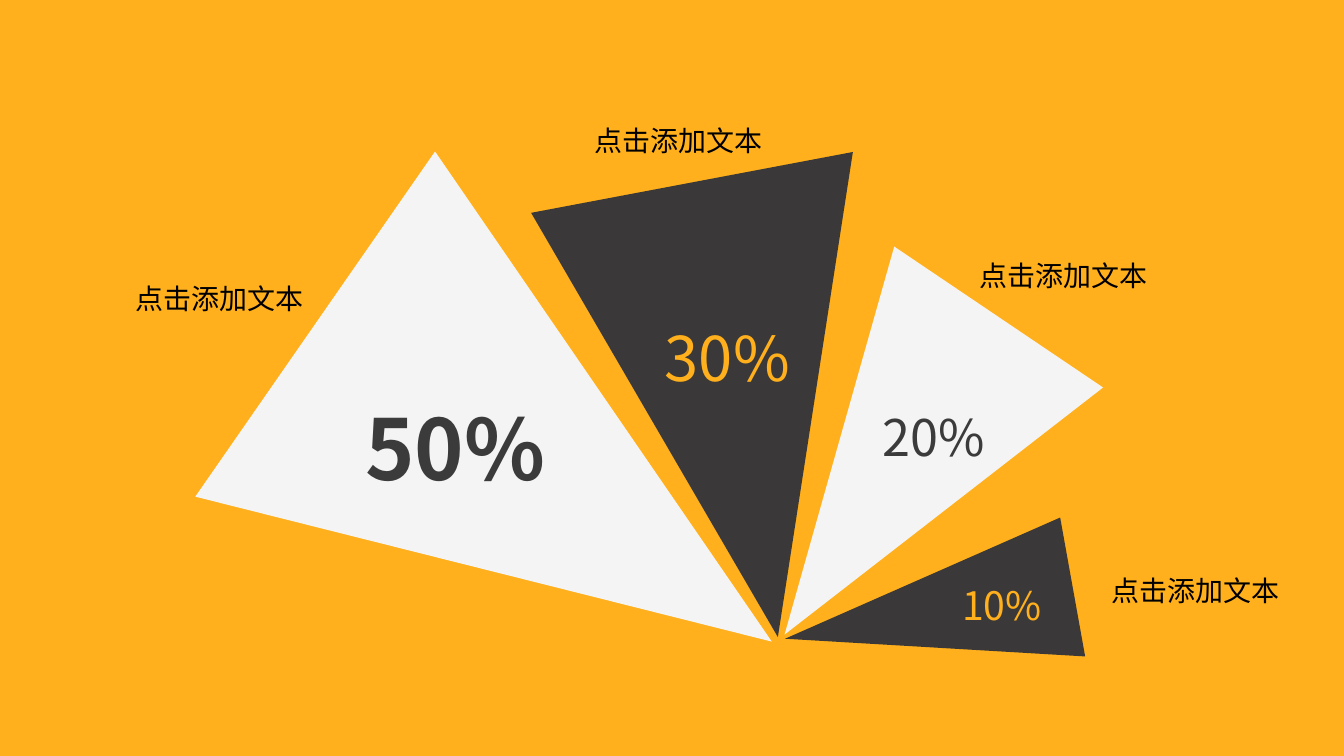
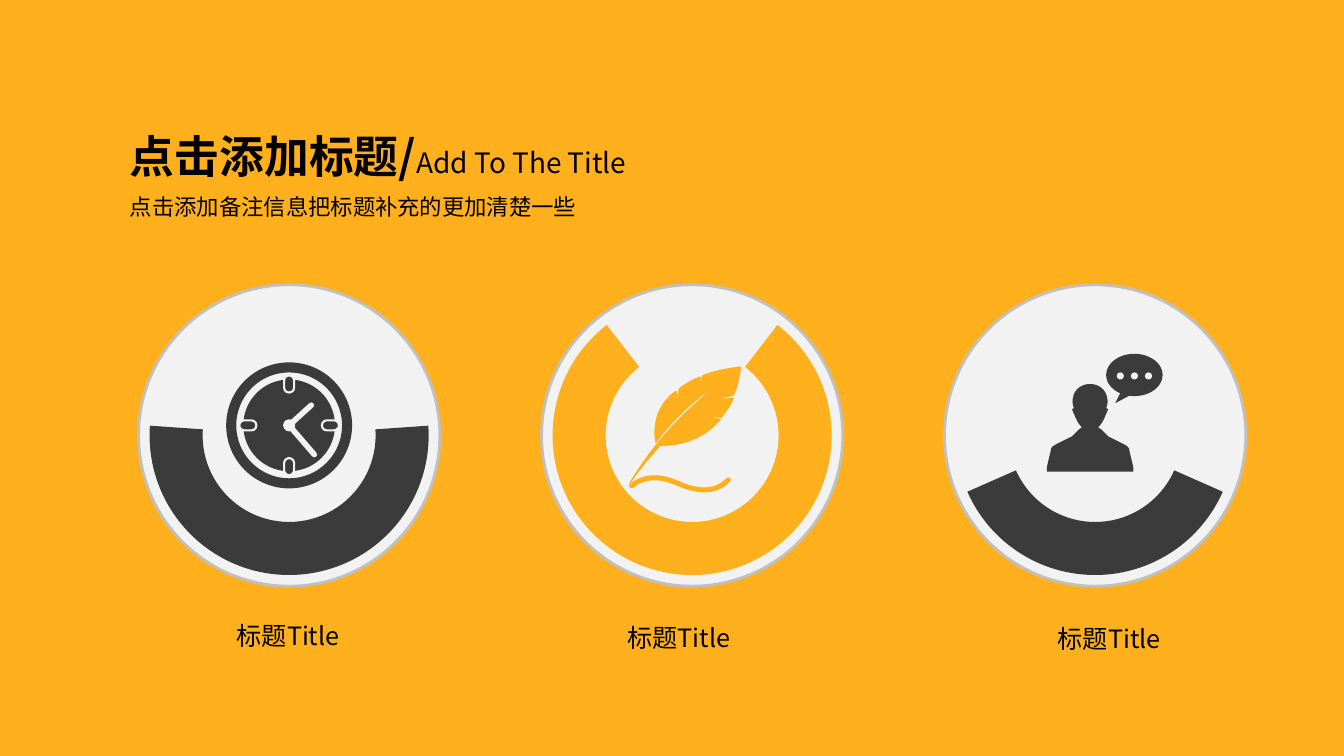
import pptx
import pptx.dml.color
import pptx.enum.shapes
import pptx.enum.text
import pptx.oxml
import pptx.oxml.ns
import pptx.util

Inches = pptx.util.Inches
Pt = pptx.util.Pt
SHAPE = pptx.enum.shapes.MSO_SHAPE
CENTER = pptx.enum.text.PP_ALIGN.CENTER
LEFT = pptx.enum.text.PP_ALIGN.LEFT

FONT = "Noto Sans CJK SC"
COLORS = {
    "amber": "FFB01C",
    "charcoal": "3A3838",
    "graphite": "3B3B3B",
    "pale": "F4F4F4",
    "disc": "F2F2F2",
    "rim": "C0C0C0",
    "black": "000000",
}

FEATHER = [
    (7.35, 3.64),
    [(7.21, 3.66), (7.08, 3.68), (6.97, 3.73)],
    (6.95, 3.87), (6.95, 3.74),
    [(6.87, 3.77), (6.8, 3.81), (6.74, 3.86)],
    (6.73, 4.02), (6.71, 3.88),
    [(6.48, 4.04), (6.49, 4.29), (6.51, 4.39)],
    [(6.65, 4.19), (6.92, 3.93), (7.15, 3.8)],
    [(7.15, 3.8), (6.77, 4.08), (6.51, 4.42)],
    [(6.83, 4.43), (7.02, 4.31), (7.15, 4.16)],
    (6.92, 4.12), (7.16, 4.14),
    [(7.21, 4.08), (7.26, 4), (7.28, 3.95)],
    (7.07, 3.97), (7.28, 3.92),
    [(7.34, 3.79), (7.35, 3.64), (7.35, 3.64)],
]
QUILL = [
    (6.55, 4.37),
    [(6.36, 4.6), (6.25, 4.8), (6.25, 4.8)],
    [(6.35, 4.65), (6.47, 4.51), (6.59, 4.38)],
]
INK = [
    (6.27, 4.82),
    [(6.34, 4.76), (6.42, 4.74), (6.5, 4.74)],
    [(6.57, 4.74), (6.65, 4.76), (6.74, 4.8)],
    [(6.83, 4.84), (6.92, 4.86), (6.99, 4.86)],
    [(7.13, 4.86), (7.2, 4.79), (7.23, 4.76)],
]
HALF_PERSON = [
    (10.82, 3.81),
    [(10.91, 3.81), (10.98, 3.87), (10.99, 3.95)],
    [(11, 3.99), (10.99, 4.02), (10.98, 4.05)],
    (11, 4.06), (10.97, 4.13),
    [(10.95, 4.18), (10.93, 4.21), (10.9, 4.24)],
    (10.93, 4.26), (11, 4.33), (11.16, 4.41),
    [(11.2, 4.43), (11.21, 4.45), (11.21, 4.47)],
    (11.25, 4.64), (11.25, 4.68), (10.82, 4.68),
]


def rgb(name):
    return pptx.dml.color.RGBColor.from_string(COLORS[name])


def paint(shape, fill=None, line=None, width=0.75):
    shape.shadow.inherit = False
    if fill:
        shape.fill.solid()
        shape.fill.fore_color.rgb = rgb(fill)
    else:
        shape.fill.background()
    if line:
        shape.line.color.rgb = rgb(line)
        shape.line.width = Pt(width)
    else:
        shape.line.fill.background()
    return shape


def add_centered(slide, kind, center, size, fill, line=None, width=0.75):
    left, top = (center[i] - size[i] / 2 for i in range(2))
    shape = slide.shapes.add_shape(
        kind, Inches(left), Inches(top), Inches(size[0]), Inches(size[1]))
    return paint(shape, fill, line, width)


def add_text(slide, box, text, size, color="black", bold=False, align=CENTER):
    frame = slide.shapes.add_textbox(*map(Inches, box)).text_frame
    frame.word_wrap = True
    margin = Inches(0.05 if align == LEFT else 0)
    frame.margin_left = frame.margin_right = margin
    paragraph = frame.paragraphs[0]
    paragraph.add_run().text = text
    paragraph.alignment = align
    paragraph.font.size = Pt(size)
    paragraph.font.bold = bold
    paragraph.font.color.rgb = rgb(color)
    paragraph.font.name = FONT
    defaults = paragraph._p.pPr.find(pptx.oxml.ns.qn("a:defRPr"))
    east_asian = pptx.oxml.parse_xml(
        f'<a:ea {pptx.oxml.ns.nsdecls("a")} typeface="{FONT}"/>')
    defaults.append(east_asian)
    return paragraph


def flatten(segments, steps=10):
    points = [segments[0]]
    for segment in segments[1:]:
        if isinstance(segment, tuple):
            points.append(segment)
            continue
        controls = [points[-1], *segment]
        for step in range(1, steps + 1):
            t = step / steps
            weights = ((1 - t) ** 3, 3 * t * (1 - t) ** 2, 3 * t * t * (1 - t), t ** 3)
            points.append(tuple(
                sum(weight * point[axis] for weight, point in zip(weights, controls))
                for axis in range(2)))
    return points


def add_outline(slide, points, fill=None, line=None, width=0.75):
    points = [(Inches(x), Inches(y)) for x, y in points]
    builder = slide.shapes.build_freeform(*points[0])
    builder.add_line_segments(points[1:], close=fill is not None)
    return paint(builder.convert_to_shape(), fill, line, width)


def round_caps(shape):
    shape.line._get_or_add_ln().set("cap", "rnd")


def add_hand(slide, start, end):
    hand = slide.shapes.add_connector(
        pptx.enum.shapes.MSO_CONNECTOR.STRAIGHT, *map(Inches, (*start, *end)))
    hand.line.color.rgb = rgb("disc")
    hand.line.width = Pt(4)
    round_caps(hand)
    hand._element.spPr.append(
        pptx.oxml.parse_xml(f'<a:effectLst {pptx.oxml.ns.nsdecls("a")}/>'))


def add_gauge(slide, center, start_angle, color):
    add_centered(slide, SHAPE.OVAL, center, (2.99, 2.99), "disc", "rim", 2)
    arc = add_centered(slide, SHAPE.BLOCK_ARC, center, (2.77, 2.77), color)
    for index, angle in enumerate((start_angle % 360, 180 - start_angle)):
        arc.adjustments[index] = angle * 0.6
    arc.adjustments[2] = 0.19


def add_clock(slide):
    x, y = center = (2.87, 4.22)
    ring = add_centered(slide, SHAPE.DONUT, center, (1.25, 1.25), "graphite")
    ring.adjustments[0] = 0.08
    add_centered(slide, SHAPE.OVAL, center, (0.91, 0.91), "graphite")
    for side in (-0.41, 0.41):
        for tick_center, size in (((x, y + side), (0.1, 0.17)),
                                  ((x + side, y), (0.17, 0.1))):
            tick = add_centered(slide, SHAPE.ROUNDED_RECTANGLE, tick_center, size,
                                "graphite", "disc", 1.5)
            tick.adjustments[0] = 0.5
    for end in ((3.09, 4.02), (3.12, 4.51)):
        add_hand(slide, center, end)
    add_centered(slide, SHAPE.OVAL, center, (0.12, 0.12), "disc")


def add_feather(slide):
    for segments in (FEATHER, QUILL):
        add_outline(slide, flatten(segments), "amber", "amber")
    round_caps(add_outline(slide, flatten(INK), line="amber", width=3.6))


def add_speaker(slide):
    half = flatten(HALF_PERSON)
    axis = half[0][0]
    mirrored = [(2 * axis - x, y) for x, y in reversed(half)]
    add_outline(slide, half + mirrored, "graphite")
    add_centered(slide, SHAPE.OVAL, (11.26, 3.72), (0.56, 0.42), "graphite")
    add_outline(slide, [(11.12, 3.9), (11.07, 4), (11.22, 3.92)], "graphite")
    for index in range(3):
        add_centered(slide, SHAPE.OVAL, (11.12 + 0.14 * index, 3.73), (0.07, 0.07), "disc")


def build_share_slide(slide):
    triangles = [
        ((3.31, 2.03, 4.17, 5.52), 124.8, "pale"),
        ((5.67, 1.77, 3.25, 4.59), 169.3, "charcoal"),
        ((7.6, 2.82, 2.5, 3.8), 214, "pale"),
        ((8.52, 4.63, 1.4, 2.9), 259.8, "charcoal"),
    ]
    for box, rotation, color in triangles:
        triangle = slide.shapes.add_shape(SHAPE.ISOSCELES_TRIANGLE, *map(Inches, box))
        triangle.rotation = rotation
        paint(triangle, color)
    for left, top in ((1.22, 2.74), (5.78, 1.18), (9.6, 2.52), (10.91, 5.64)):
        add_text(slide, (left, top, 1.91, 0.44), "点击添加文本", 20)
    add_text(slide, (3.2, 3.88, 2.64, 1.1), "50%", 60, "graphite", bold=True)
    add_text(slide, (6.12, 3.12, 2.2, 0.84), "30%", 44, "amber")
    add_text(slide, (8.46, 3.98, 1.62, 0.7), "20%", 36, "graphite")
    add_text(slide, (9.03, 5.72, 1.83, 0.57), "10%", 28, "amber")


def build_gauge_slide(slide):
    heading = add_text(slide, (1.24, 1.23, 5.66, 0.6), "点击添加标题/", 32,
                       bold=True, align=LEFT)
    english = heading.add_run()
    english.text = "Add To The Title"
    english.font.size = Pt(20)
    english.font.bold = False
    add_text(slide, (1.24, 1.87, 6.01, 0.31),
             "点击添加备注信息把标题补充的更加清楚一些", 16, align=LEFT)
    gauges = [
        (-4, "graphite", add_clock, (2.22, 6.11)),
        (-52.3, "amber", add_feather, (6.1, 6.12)),
        (23.8, "graphite", add_speaker, (10.37, 6.13)),
    ]
    for index, (start_angle, color, add_icon, caption) in enumerate(gauges):
        add_gauge(slide, (2.87 + 4 * index, 4.32), start_angle, color)
        add_icon(slide)
        add_text(slide, (*caption, 1.28, 0.4), "标题Title", 18)


def main():
    presentation = pptx.Presentation()
    presentation.slide_width = Inches(13.34)
    presentation.slide_height = Inches(7.5)
    background = presentation.slide_master.background.fill
    background.solid()
    background.fore_color.rgb = rgb("amber")
    for build in (build_share_slide, build_gauge_slide):
        build(presentation.slides.add_slide(presentation.slide_layouts[6]))
    presentation.save("out.pptx")


if __name__ == "__main__":
    main()
